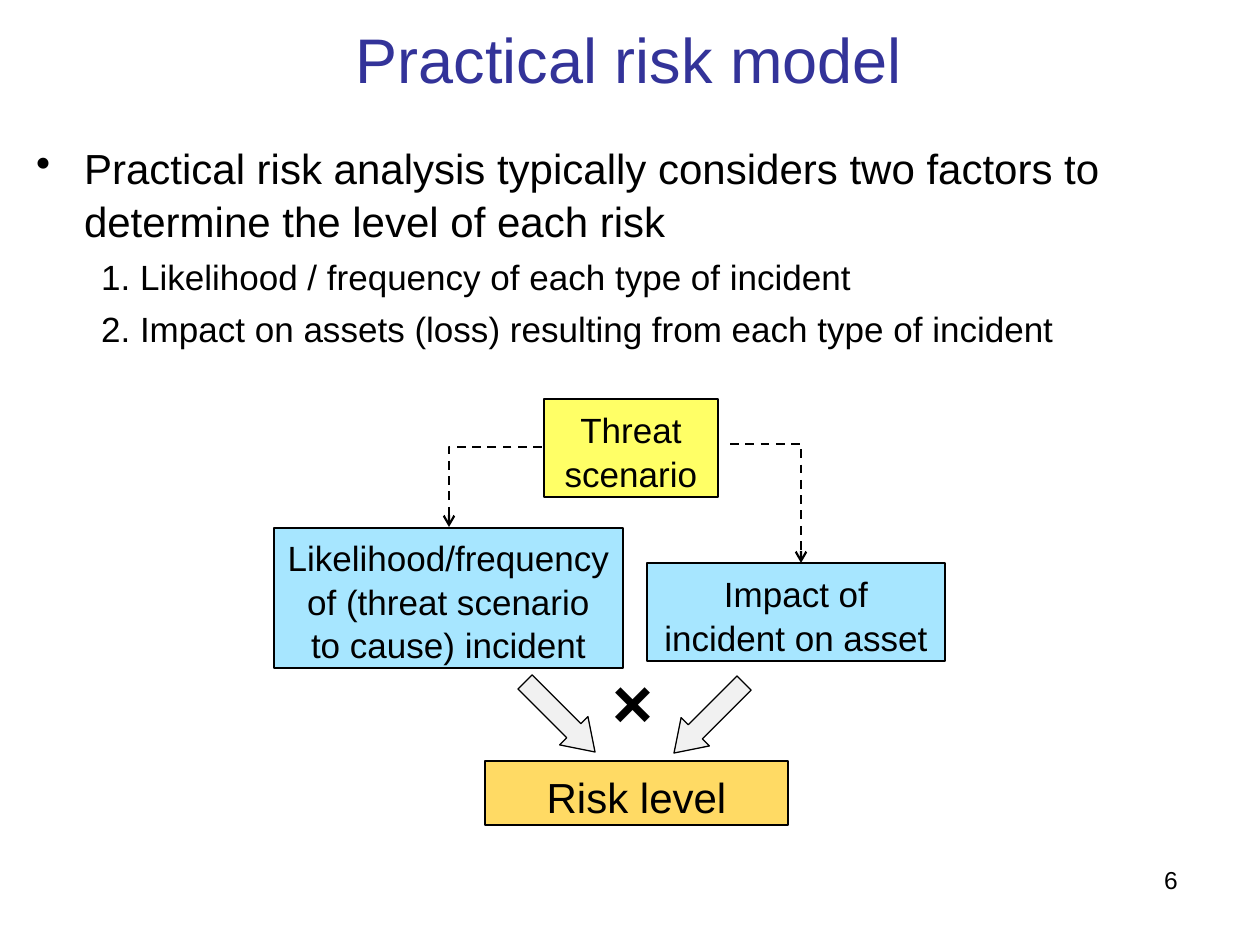
from dataclasses import dataclass

import lxml.etree
import pptx
import pptx.dml.color
import pptx.enum.dml
import pptx.enum.shapes
import pptx.enum.text
import pptx.oxml
import pptx.oxml.ns
import pptx.util

EMU_PER_PX = 914400 / 126
ALIGN = pptx.enum.text.PP_ALIGN
SHAPES = pptx.enum.shapes.MSO_SHAPE


@dataclass(frozen=True)
class Theme:
    font: str = "Arial"
    title_color: str = "333399"
    ink: str = "000000"
    threat_fill: str = "FFFF66"
    factor_fill: str = "A7E6FF"
    result_fill: str = "FFDA64"
    arrow_fill: str = "F1F1F1"
    title_size: int = 36
    large_size: int = 24
    body_size: int = 20
    times_size: int = 40
    number_size: int = 14
    line_spacing: float = 1.04


THEME = Theme()


def px(length):
    return pptx.util.Emu(round(length * EMU_PER_PX))


def rgb(color):
    return pptx.dml.color.RGBColor.from_string(color)


def prepare_frame(frame, inset_top=1):
    frame.word_wrap = True
    frame.margin_left = frame.margin_right = frame.margin_bottom = 0
    frame.margin_top = px(inset_top)


def style(paragraph, size, color=THEME.ink, align=ALIGN.CENTER, bold=False):
    paragraph.alignment = align
    paragraph.font.name = THEME.font
    paragraph.font.size = pptx.util.Pt(size)
    paragraph.font.color.rgb = rgb(color)
    paragraph.font.bold = bold


def add_label(slide, box, text, size, **look):
    frame = slide.shapes.add_textbox(*map(px, box)).text_frame
    prepare_frame(frame)
    frame.text = text
    style(frame.paragraphs[0], size, **look)


def add_marker(paragraph, marker, margin, hanging):
    """Give the paragraph a hanging bullet or number, described by an XML tag."""
    properties = paragraph._p.get_or_add_pPr()
    properties.set("marL", str(px(margin)))
    properties.set("indent", str(px(-hanging)))
    properties.append(pptx.oxml.parse_xml(
        f"<a:{marker} {pptx.oxml.ns.nsdecls('a')}/>"))


def add_factors(slide, box, statement, factors):
    frame = slide.shapes.add_textbox(*map(px, box)).text_frame
    prepare_frame(frame)
    lead = frame.paragraphs[0]
    lead.text = statement
    lead.line_spacing = THEME.line_spacing
    add_marker(lead, 'buChar char="•"', margin=49, hanging=48)
    style(lead, THEME.large_size, align=ALIGN.LEFT)
    for factor in factors:
        item = frame.add_paragraph()
        item.text = factor
        item.level = 1
        item.line_spacing = THEME.line_spacing
        item.space_before = pptx.util.Pt(4.8)
        add_marker(item, 'buAutoNum type="arabicPeriod"', margin=105, hanging=39)
        style(item, THEME.body_size, align=ALIGN.LEFT)


def add_node(slide, box, text, fill, size=THEME.body_size, line_width=1.56):
    node = slide.shapes.add_shape(SHAPES.RECTANGLE, *map(px, box))
    node.shadow.inherit = False
    node.fill.solid()
    node.fill.fore_color.rgb = rgb(fill)
    node.line.color.rgb = rgb(THEME.ink)
    node.line.width = pptx.util.Pt(line_width)
    prepare_frame(node.text_frame, inset_top=5)
    node.text_frame.vertical_anchor = pptx.enum.text.MSO_ANCHOR.MIDDLE
    node.text_frame.text = text
    paragraph = node.text_frame.paragraphs[0]
    paragraph.line_spacing = THEME.line_spacing
    style(paragraph, size)


def add_block_arrow(slide, center_x, center_y, rotation):
    length, breadth = 99, 40
    box = (center_x - length / 2, center_y - breadth / 2, length, breadth)
    arrow = slide.shapes.add_shape(SHAPES.RIGHT_ARROW, *map(px, box))
    arrow.adjustments[0] = 0.5
    arrow.adjustments[1] = 0.75
    arrow.rotation = rotation
    arrow.shadow.inherit = False
    arrow.fill.solid()
    arrow.fill.fore_color.rgb = rgb(THEME.arrow_fill)
    arrow.line.color.rgb = rgb(THEME.ink)
    arrow.line.width = pptx.util.Pt(0.75)


def add_dashed_link(slide, start, end):
    """Run level from start, then down to an open arrowhead at end."""
    builder = slide.shapes.build_freeform(*start, scale=EMU_PER_PX)
    builder.add_line_segments([(end[0], start[1]), end], close=False)
    link = builder.convert_to_shape()
    link.shadow.inherit = False
    link.fill.background()
    link.line.color.rgb = rgb(THEME.ink)
    link.line.width = pptx.util.Pt(1.25)
    link.line.dash_style = pptx.enum.dml.MSO_LINE.DASH
    lxml.etree.SubElement(link.line._get_or_add_ln(),
                          pptx.oxml.ns.qn("a:tailEnd"), type="arrow")


def add_risk_diagram(slide, left, top):
    def at(x, y, *size):
        return (left + x, top + y, *size)

    add_node(slide, at(0, 129, 349, 140),
             "Likelihood/frequency\vof (threat scenario\vto cause) incident",
             THEME.factor_fill)
    add_node(slide, at(373, 164, 298, 98), "Impact of\vincident on asset",
             THEME.factor_fill)
    add_node(slide, at(211, 362, 303, 64), "Risk level", THEME.result_fill,
             size=THEME.large_size)
    add_block_arrow(slide, *at(286, 318), rotation=45)
    add_block_arrow(slide, *at(435, 319), rotation=135)
    add_node(slide, at(270, 0, 174, 98), "Threat scenario", THEME.threat_fill,
             line_width=1.32)
    add_label(slide, at(338, 259, 42, 87), "×", THEME.times_size, bold=True)
    add_dashed_link(slide, at(456, 45), at(527, 164))
    add_dashed_link(slide, at(268, 48), at(175, 128))


def main():
    deck = pptx.Presentation()
    deck.slide_width, deck.slide_height = px(1260), px(945)
    slide = deck.slides.add_slide(deck.slide_layouts[6])
    add_label(slide, (340, 20, 578, 79), "Practical risk model",
              THEME.title_size, color=THEME.title_color)
    add_factors(
        slide, (35, 140, 1066, 205),
        "Practical risk analysis typically considers two factors to "
        "determine the level of each risk",
        ["Likelihood / frequency of each type of incident",
         "Impact on assets (loss) resulting from each type of incident"])
    add_risk_diagram(slide, 274, 399)
    add_label(slide, (1152, 864, 38, 33), "6", THEME.number_size,
              align=ALIGN.CENTER)
    deck.save("out.pptx")


if __name__ == "__main__":
    main()
